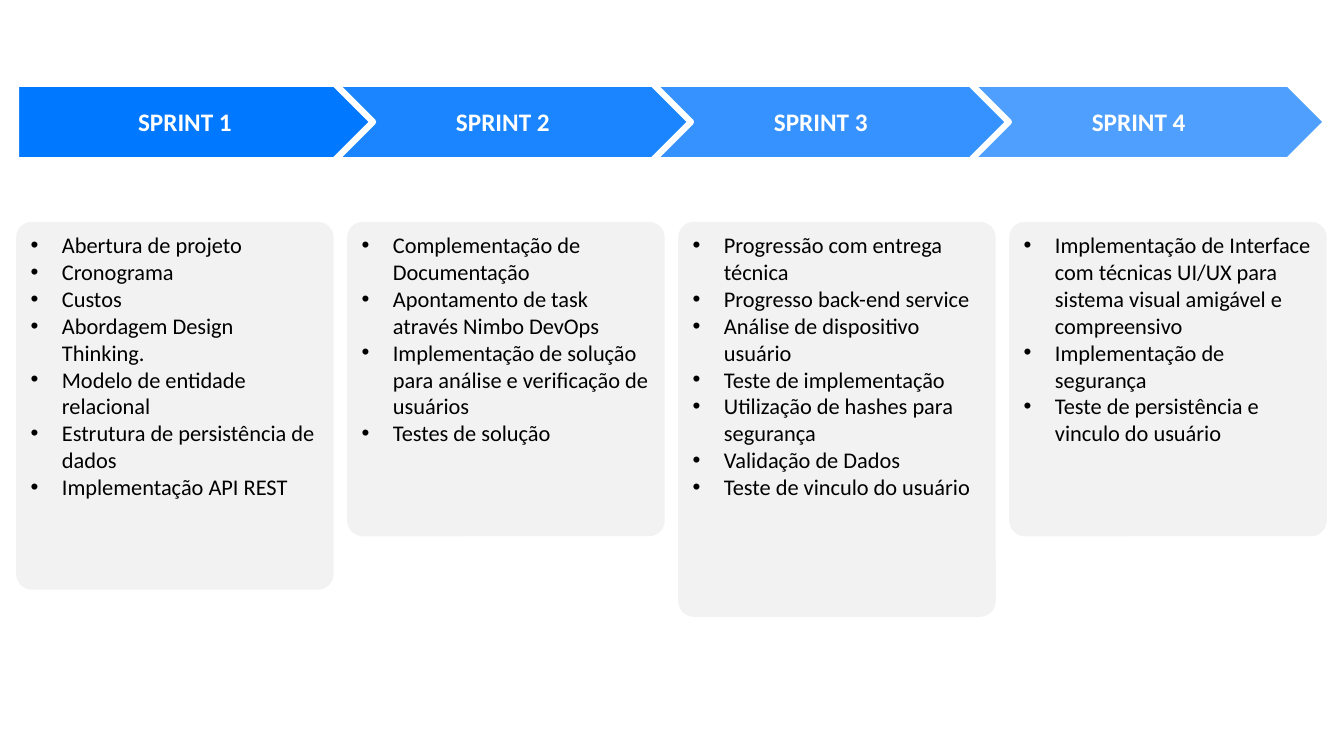
from lxml import etree
from pptx import Presentation
from pptx.dml.color import RGBColor
from pptx.enum import shapes, text
from pptx.oxml import ns
from pptx.util import Inches, Pt

WHITE = RGBColor(0xFF, 0xFF, 0xFF)
BLACK = RGBColor(0, 0, 0)
CARD_GRAY = RGBColor(0xF2, 0xF2, 0xF2)
BLUES = [
    RGBColor(0x00, 0x78, 0xFF),
    RGBColor(0x1A, 0x85, 0xFF),
    RGBColor(0x35, 0x92, 0xFF),
    RGBColor(0x4F, 0x9F, 0xFF),
]

HEADING = {"name": "Calibri", "size": Pt(18), "bold": True}
BODY = {"name": "Calibri", "size": Pt(16), "bold": False}

LEFT = 0.16
ARROW_STEP = 3.153
CARD_STEP = 3.283

# Card height and tasks of each sprint
SPRINTS = [
    (3.65, [
        "Abertura de projeto",
        "Cronograma",
        "Custos",
        "Abordagem Design Thinking.",
        "Modelo de entidade relacional",
        "Estrutura de persistência de dados",
        "Implementação API REST",
    ]),
    (3.12, [
        "Complementação de Documentação",
        "Apontamento de task através Nimbo DevOps",
        "Implementação de solução para análise e verificação de usuários",
        "Testes de solução",
    ]),
    (3.92, [
        "Progressão com entrega técnica",
        "Progresso back-end service",
        "Análise de dispositivo usuário",
        "Teste de implementação",
        "Utilização de hashes para segurança",
        "Validação de Dados",
        "Teste de vinculo do usuário",
    ]),
    (3.12, [
        "Implementação de Interface com técnicas UI/UX para sistema visual "
        "amigável e compreensivo",
        "Implementação de segurança",
        "Teste de persistência e vinculo do usuário",
    ]),
]


def add_block(s, kind, x, y, w, h, adj, fill, anchor):
    sp = s.shapes.add_shape(kind, Inches(x), Inches(y), Inches(w), Inches(h))
    sp.adjustments[0] = adj
    sp.shadow.inherit = False
    sp.fill.solid()
    sp.fill.fore_color.rgb = fill
    sp.text_frame.word_wrap = True
    sp.text_frame.vertical_anchor = anchor
    return sp


def write(p, words, align, color, font):
    p.alignment = align
    r = p.add_run()
    r.text = words
    r.font.color.rgb = color
    for name, value in font.items():
        setattr(r.font, name, value)


def add_bullet(p):
    pPr = p._p.get_or_add_pPr()
    pPr.set("marL", str(Inches(0.31)))
    pPr.set("indent", str(-Inches(0.31)))
    etree.SubElement(pPr, ns.qn("a:buFont")).set("typeface", "Arial")
    etree.SubElement(pPr, ns.qn("a:buChar")).set("char", "•")


def add_arrow(s, i):
    sp = add_block(s, shapes.MSO_SHAPE.PENTAGON, LEFT + i * ARROW_STEP, 0.83,
                   3.54, 0.76, 0.5, BLUES[i], text.MSO_ANCHOR.MIDDLE)
    sp.line.color.rgb = WHITE
    sp.line.width = Pt(4.5)
    write(sp.text_frame.paragraphs[0], f"SPRINT {i + 1}",
          text.PP_ALIGN.CENTER, WHITE, HEADING)


def add_card(s, i, height, tasks):
    sp = add_block(s, shapes.MSO_SHAPE.ROUNDED_RECTANGLE, LEFT + i * CARD_STEP,
                   2.2, 3.15, height, 0.05, CARD_GRAY, text.MSO_ANCHOR.TOP)
    sp.line.fill.background()
    tf = sp.text_frame
    for n, task in enumerate(tasks):
        p = tf.add_paragraph() if n else tf.paragraphs[0]
        write(p, task, text.PP_ALIGN.LEFT, BLACK, BODY)
        add_bullet(p)


def main():
    prs = Presentation()
    prs.slide_width, prs.slide_height = Inches(13.33), Inches(7.5)
    s = prs.slides.add_slide(prs.slide_layouts[6])

    # Arrows run from last to first, so each tip overlaps the next one
    for i in reversed(range(len(SPRINTS))):
        add_arrow(s, i)

    # Task cards
    for i, (height, tasks) in enumerate(SPRINTS):
        add_card(s, i, height, tasks)

    prs.save("out.pptx")


main()
